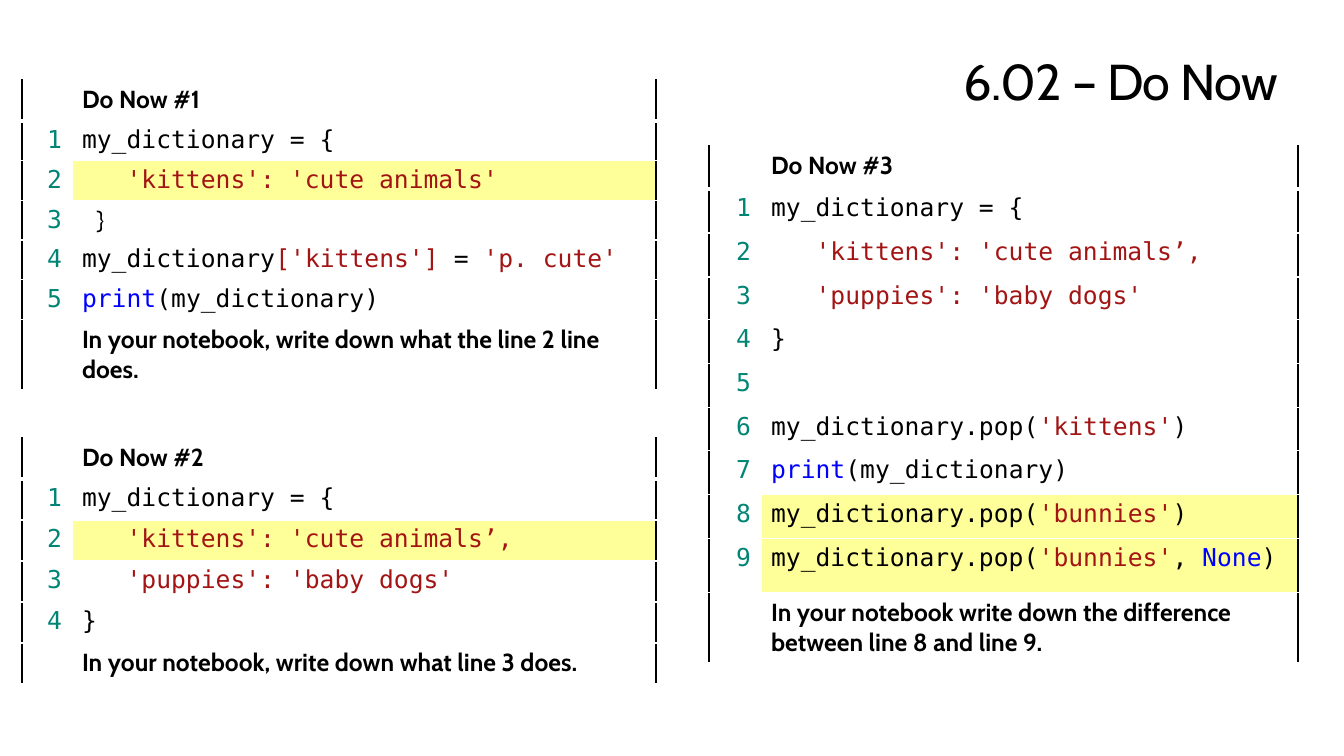
from lxml.etree import SubElement
from pptx import Presentation
from pptx.dml.color import RGBColor
from pptx.enum.text import MSO_ANCHOR, MSO_AUTO_SIZE, PP_ALIGN
from pptx.oxml.ns import qn
from pptx.util import Emu, Pt

SCALE = 914400 / 100.8
BLACK, WHITE, YELLOW = "000000", "FFFFFF", "FFFF99"
TEAL, RED, BLUE = "008575", "A31515", "0000FF"
SANS, MONO = "Cabin", "DejaVu Sans Mono"


def px(length):
    return Emu(round(length * SCALE))


def add_run(paragraph, text, color, face=MONO, size=17.6, bold=False):
    run = paragraph.add_run()
    run.text = text
    run.font.name = face
    run.font.size = Pt(size)
    run.font.bold = bold
    run.font.color.rgb = RGBColor.from_string(color)
    return run


opening = [("my_dictionary = {", BLACK)]
kittens = [("   'kittens': 'cute animals’,", RED)]
puppies = [("   'puppies': 'baby dogs'", RED)]
closing = [("}", BLACK)]
printing = [("print", BLUE), ("(my_dictionary)", BLACK)]
pop = ("my_dictionary.pop(", BLACK)
bunnies = ("'bunnies'", RED)

exercises = [
    {
        "heading": "Do Now #1",
        "corner": (22, 80),
        "columns": [50, 584],
        "rows": [41] + [39] * 5 + [70],
        "code": [
            opening,
            [("   'kittens': 'cute animals'", RED)],
            [(" ", RED), ("}", BLACK, SANS)],
            [("my_dictionary", BLACK), ("['kittens'] ", RED), ("=", BLACK), (" 'p. cute'", RED)],
            printing,
        ],
        "highlighted": [2],
        "prompt": "In your notebook, write down what the line 2 line does.",
    },
    {
        "heading": "Do Now #2",
        "corner": (22, 438),
        "columns": [50, 584],
        "rows": [41] * 6,
        "code": [opening, kittens, puppies, closing],
        "highlighted": [2],
        "prompt": "In your notebook, write down what line 3 does.",
    },
    {
        "heading": "Do Now #3",
        "corner": (709, 146),
        "columns": [52, 537],
        "rows": [43, 44, 44] * 3 + [54, 70],
        "code": [
            opening,
            kittens,
            puppies,
            closing,
            [],
            [pop, ("'kittens'", RED), (")", BLACK)],
            printing,
            [pop, bunnies, (")", BLACK)],
            [pop, bunnies, (", ", BLACK), ("None", BLUE), (")", BLACK)],
        ],
        "highlighted": [8, 9],
        "prompt": "In your notebook write down the difference between line 8 and line 9.",
    },
]

deck = Presentation()
deck.slide_width, deck.slide_height = px(1344), px(756)
slide = deck.slides.add_slide(deck.slide_layouts[5])

title = slide.shapes.title
title.left, title.top, title.width, title.height = px(65), px(50), px(1213), px(61)
heading = title.text_frame
heading.margin_left = heading.margin_right = heading.margin_top = heading.margin_bottom = 0
heading.vertical_anchor = MSO_ANCHOR.TOP
heading.auto_size = MSO_AUTO_SIZE.SHAPE_TO_FIT_TEXT
heading.paragraphs[0].alignment = PP_ALIGN.RIGHT
lesson = add_run(heading.paragraphs[0], "6.02 – Do Now", BLACK, SANS, 36)
lesson.font._element.set("spc", "-50")

for exercise in exercises:
    left, top = exercise["corner"]
    columns, rows = exercise["columns"], exercise["rows"]
    listing = slide.shapes.add_table(
        len(rows), 2, px(left), px(top), px(sum(columns)), px(sum(rows))
    ).table
    listing.first_row = listing.horz_banding = False
    for column, width in zip(listing.columns, columns):
        column.width = px(width)
    for row, height in zip(listing.rows, rows):
        row.height = px(height)

    lines = [
        [(exercise["heading"], BLACK, SANS, 17.6, True)],
        *exercise["code"],
        [(exercise["prompt"], BLACK, SANS, 17.6, True)],
    ]
    for number, runs in enumerate(lines):
        number_cell, code_cell = listing.cell(number, 0), listing.cell(number, 1)
        for cell, outer_side in ((number_cell, "L"), (code_cell, "R")):
            properties = cell._tc.get_or_add_tcPr()
            for side in "LRTB":
                points = 3 if number == 0 and side == "B" else 1
                border = SubElement(properties, qn("a:ln" + side), w=str(Pt(points)))
                stroke = SubElement(border, qn("a:solidFill"))
                SubElement(stroke, qn("a:srgbClr"), val=BLACK if side == outer_side else WHITE)
            cell.fill.background()
        if number in exercise["highlighted"]:
            code_cell.fill.solid()
            code_cell.fill.fore_color.rgb = RGBColor.from_string(YELLOW)
        if 0 < number < len(lines) - 1:
            label = number_cell.text_frame.paragraphs[0]
            label.alignment = PP_ALIGN.RIGHT
            add_run(label, str(number), TEAL)
        for run in runs:
            add_run(code_cell.text_frame.paragraphs[0], *run)

deck.save("out.pptx")
